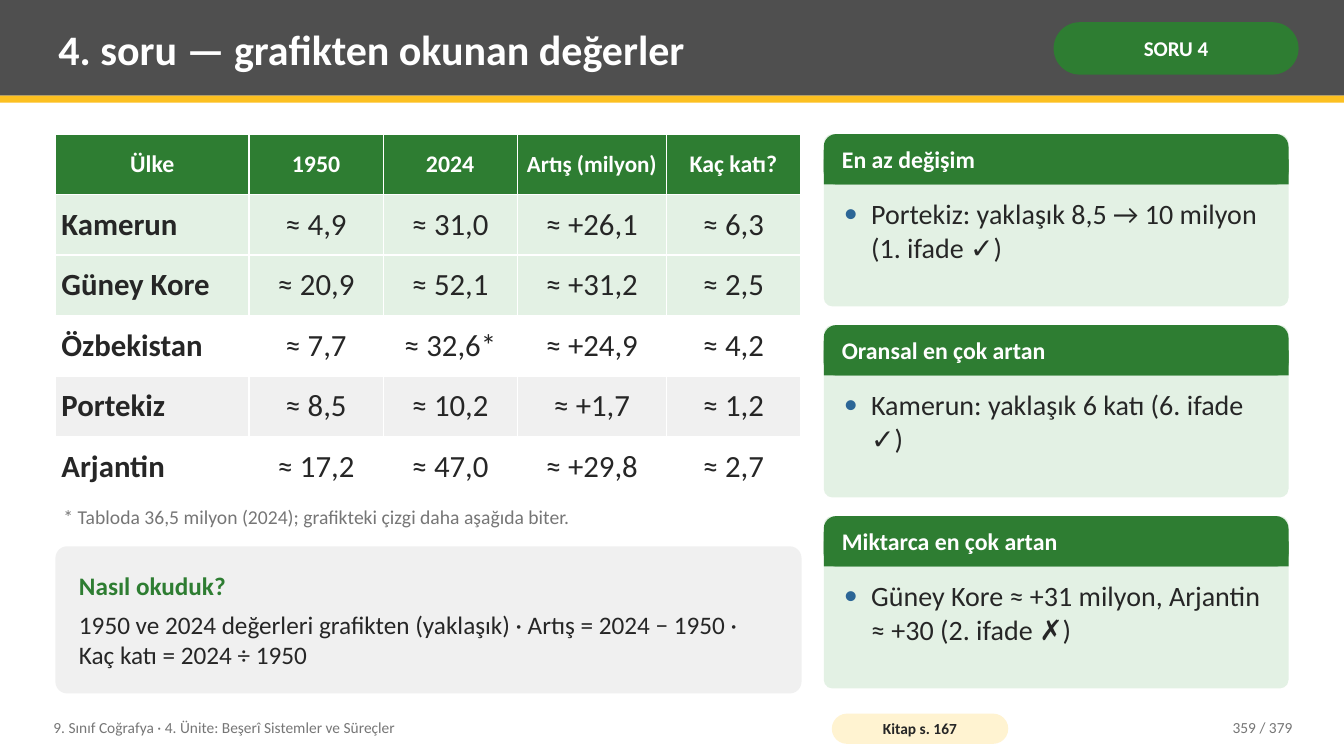
from lxml import etree
from pptx import Presentation
from pptx.dml.color import RGBColor
from pptx.enum import shapes, text
from pptx.oxml import parse_xml
from pptx.oxml.ns import nsdecls
from pptx.util import Inches, Pt

GREY_BAR = RGBColor(0x4F, 0x4F, 0x4F)
YELLOW = RGBColor(0xFC, 0xC0, 0x21)
GREEN = RGBColor(0x2E, 0x7D, 0x32)
PALE_GREEN = RGBColor(0xE3, 0xF1, 0xE4)
PALE_GREY = RGBColor(0xF0, 0xF0, 0xF0)
CREAM = RGBColor(0xFF, 0xF3, 0xD1)
WHITE = RGBColor(0xFF, 0xFF, 0xFF)
INK = RGBColor(0x26, 0x26, 0x26)
MUTED = RGBColor(0x76, 0x76, 0x76)
BLUE = RGBColor(0x2C, 0x66, 0x96)

RECT = shapes.MSO_SHAPE.RECTANGLE
ROUND = shapes.MSO_SHAPE.ROUNDED_RECTANGLE
LEFT, CENTER, RIGHT = text.PP_ALIGN.LEFT, text.PP_ALIGN.CENTER, text.PP_ALIGN.RIGHT
TOP, MIDDLE = text.MSO_ANCHOR.TOP, text.MSO_ANCHOR.MIDDLE

prs = Presentation()
prs.slide_width, prs.slide_height = Inches(13.33), Inches(7.5)
s = prs.slides.add_slide(prs.slide_layouts.get_by_name("Comparison"))
title, *bodies = s.placeholders
spare = bodies.pop()
spare.element.getparent().remove(spare.element)


def block(x, y, w, h, fill, radius=None):
    sp = s.shapes.add_shape(RECT if radius is None else ROUND,
                            Inches(x), Inches(y), Inches(w), Inches(h))
    if radius is not None:
        sp.adjustments[0] = radius
    sp.fill.solid()
    sp.fill.fore_color.rgb = fill
    sp.line.fill.background()
    sp.shadow.inherit = False
    return sp


def write(tf, words, size, color, bold=False, align=LEFT, anchor=MIDDLE,
          inset=(0.08, 0.04), first=True):
    tf.word_wrap = True
    tf.auto_size = text.MSO_AUTO_SIZE.NONE
    tf.vertical_anchor = anchor
    tf.margin_left = tf.margin_right = Inches(inset[0])
    tf.margin_top = tf.margin_bottom = Inches(inset[1])
    p = tf.paragraphs[0] if first else tf.add_paragraph()
    p.alignment = align
    p.space_before = Pt(0)
    r = p.add_run()
    r.text = words
    r.font.name, r.font.size, r.font.bold = "Calibri", Pt(size), bold
    r.font.color.rgb = color
    return p


# Header band with title and question badge
block(0, 0, 13.33, 0.95, GREY_BAR)
block(0, 0.95, 13.33, 0.07, YELLOW)
title.left, title.top, title.width, title.height = map(Inches, (0.5, 0.07, 9.75, 0.82))
s.shapes._spTree.append(title.element)
write(title.text_frame, "4. soru — grafikten okunan değerler", 30, WHITE, bold=True)
badge = block(10.45, 0.22, 2.43, 0.52, GREEN, 0.5)
write(badge.text_frame, "SORU 4", 15, WHITE, bold=True, align=CENTER, inset=(0.05, 0.02))

# Table of values
rows = [
    ("Ülke", "1950", "2024", "Artış (milyon)", "Kaç katı?"),
    ("Kamerun", "≈ 4,9", "≈ 31,0", "≈ +26,1", "≈ 6,3"),
    ("Güney Kore", "≈ 20,9", "≈ 52,1", "≈ +31,2", "≈ 2,5"),
    ("Özbekistan", "≈ 7,7", "≈ 32,6*", "≈ +24,9", "≈ 4,2"),
    ("Portekiz", "≈ 8,5", "≈ 10,2", "≈ +1,7", "≈ 1,2"),
    ("Arjantin", "≈ 17,2", "≈ 47,0", "≈ +29,8", "≈ 2,7"),
]
row_fills = [GREEN, PALE_GREEN, PALE_GREEN, WHITE, PALE_GREY, WHITE]
tbl = s.shapes.add_table(6, 5, Inches(0.55), Inches(1.33), Inches(7.4), Inches(3.6)).table
tbl.horz_banding = False
for col, w in zip(tbl.columns, (1.92, 1.33, 1.33, 1.48, 1.33)):
    col.width = Inches(w)
for i, (row, fill) in enumerate(zip(rows, row_fills)):
    for j, words in enumerate(row):
        cell = tbl.cell(i, j)
        head = i == 0
        size = 22 if not head else 16.5 if j == 3 else 17
        write(cell.text_frame, words, size, WHITE if head else INK, bold=head or j == 0,
              align=CENTER if head or j else LEFT)
        cell.vertical_anchor = MIDDLE
        cell.margin_left = cell.margin_right = Inches(0.06)
        cell.margin_top = cell.margin_bottom = Inches(0.05)
        tcPr = cell._tc.get_or_add_tcPr()
        for side in ("lnL", "lnR", "lnT", "lnB"):
            tcPr.append(parse_xml(
                f'<a:{side} {nsdecls("a")} w="12192"><a:solidFill>'
                f'<a:srgbClr val="{WHITE}"/></a:solidFill></a:{side}>'))
        cell.fill.solid()
        cell.fill.fore_color.rgb = fill

# Reading method
how = block(0.55, 5.42, 7.4, 1.46, PALE_GREY, 0.08).text_frame
write(how, "Nasıl okuduk?", 18, GREEN, bold=True, inset=(0.2, 0.08)).space_after = Pt(6)
write(how, "1950 ve 2024 değerleri grafikten (yaklaşık) · Artış = 2024 − 1950 · "
      "Kaç katı = 2024 ÷ 1950", 18, INK, inset=(0.2, 0.08), first=False)

# Finding cards: heading strip and bulleted body
cards = [
    ("En az değişim", "Portekiz: yaklaşık 8,5 → 10 milyon (1. ifade ✓)"),
    ("Oransal en çok artan", "Kamerun: yaklaşık 6 katı (6. ifade ✓)"),
    ("Miktarca en çok artan", "Güney Kore ≈ +31 milyon, Arjantin ≈ +30 (2. ifade ✗)"),
]
for i, ((heading, finding), body) in enumerate(zip(cards, bodies)):
    y = 1.33 + i * 1.895
    block(8.17, y, 4.61, 1.71, PALE_GREEN, 0.05)
    block(8.17, y, 4.61, 0.5, GREEN, 0.25)
    block(8.17, y + 0.25, 4.61, 0.25, GREEN)
    tb = s.shapes.add_textbox(Inches(8.27), Inches(y), Inches(4.41), Inches(0.5))
    write(tb.text_frame, heading, 17, WHITE, bold=True)
    body.left, body.top, body.width, body.height = map(Inches, (8.29, y + 0.58, 4.37, 1.05))
    s.shapes._spTree.append(body.element)
    p = write(body.text_frame, finding, 20, INK, anchor=TOP)
    pPr = p._p.get_or_add_pPr()
    pPr.set("marL", str(Inches(0.27)))
    pPr.set("indent", str(-Inches(0.27)))
    for xml in (f'<a:buClr {nsdecls("a")}><a:srgbClr val="{BLUE}"/></a:buClr>',
                f'<a:buFont {nsdecls("a")} typeface="Calibri"/>',
                f'<a:buChar {nsdecls("a")} char="•"/>'):
        etree.SubElement(pPr, "tmp")
        pPr.replace(pPr[-1], parse_xml(xml))

# Table footnote and footer
notes = [
    (0.55, 4.97, 7.4, 0.34, "* Tabloda 36,5 milyon (2024); grafikteki çizgi daha aşağıda biter.",
     14, LEFT, TOP),
    (0.45, 7.04, 7.6, 0.36, "9. Sınıf Coğrafya · 4. Ünite: Beşerî Sistemler ve Süreçler",
     11, LEFT, MIDDLE),
    (11.3, 7.04, 1.6, 0.36, "359 / 379", 11, RIGHT, MIDDLE),
]
for x, y, w, h, words, size, align, anchor in notes:
    tb = s.shapes.add_textbox(Inches(x), Inches(y), Inches(w), Inches(h))
    write(tb.text_frame, words, size, MUTED, align=align, anchor=anchor)
page_ref = block(8.25, 7.08, 1.75, 0.3, CREAM, 0.5)
write(page_ref.text_frame, "Kitap s. 167", 11, INK, bold=True, align=CENTER, inset=(0.04, 0))

prs.save("out.pptx")
